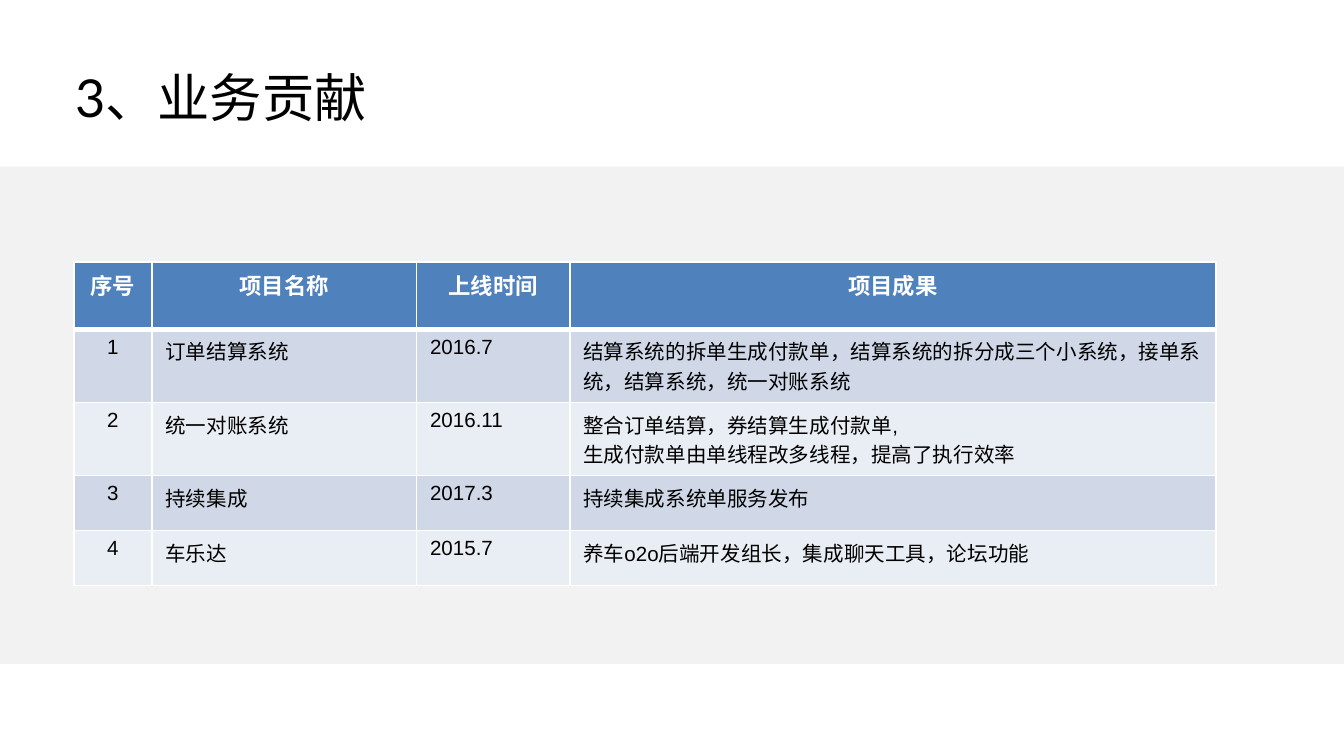
from lxml import etree
from pptx import Presentation
from pptx.dml.color import RGBColor
from pptx.enum.shapes import MSO_SHAPE
from pptx.enum.text import MSO_ANCHOR, PP_ALIGN
from pptx.oxml.ns import qn
from pptx.util import Inches, Pt

RECTANGLE = MSO_SHAPE.RECTANGLE
MIDDLE = MSO_ANCHOR.MIDDLE
LEFT, CENTER = PP_ALIGN.LEFT, PP_ALIGN.CENTER

BLACK = RGBColor(0x00, 0x00, 0x00)
WHITE = RGBColor(0xFF, 0xFF, 0xFF)
BAND_GREY = RGBColor(0xF2, 0xF2, 0xF2)
HEADER_BLUE = RGBColor(0x4F, 0x81, 0xBD)
ROW_FILLS = (RGBColor(0xD0, 0xD8, 0xE8), RGBColor(0xE9, 0xED, 0xF4))

TITLE = "3、业务贡献"
HEADINGS = ("序号", "项目名称", "上线时间", "项目成果")
# Each project: name, launch date, lines of results
PROJECTS = [
    ("订单结算系统", "2016.7",
     ["结算系统的拆单生成付款单，结算系统的拆分成三个小系统，接单系统，结算系统，统一对账系统"]),
    ("统一对账系统", "2016.11",
     ["整合订单结算，券结算生成付款单,", "生成付款单由单线程改多线程，提高了执行效率"]),
    ("持续集成", "2017.3", ["持续集成系统单服务发布"]),
    ("车乐达", "2015.7", ["养车o2o后端开发组长，集成聊天工具，论坛功能"]),
]

SLIDE_W = 10
SLIDE_H = SLIDE_W * 9 / 16
COLUMN_WIDTHS = (0.58, 1.97, 1.14, 4.81)
HEADER_H, ROW_H = 0.5, 0.41
TABLE_LEFT, TABLE_TOP = 0.55, 1.95
GRID_LINE, HEADER_LINE = 1, 3


def write(paragraph, text, font_name, size, color, align, bold=False):
    paragraph.alignment = align
    run = paragraph.add_run()
    run.text = text
    font = run.font
    font.name, font.size, font.bold = font_name, Pt(size), bold
    font.color.rgb = color


def set_borders(cell, top, bottom):
    """Draw white cell borders; top and bottom are widths in points."""
    properties = cell._tc.get_or_add_tcPr()
    widths = {"a:lnL": GRID_LINE, "a:lnR": GRID_LINE, "a:lnT": top, "a:lnB": bottom}
    for position, (tag, width) in enumerate(widths.items()):
        line = etree.Element(qn(tag), w=str(Pt(width)))
        solid = etree.SubElement(line, qn("a:solidFill"))
        etree.SubElement(solid, qn("a:srgbClr"), val=str(WHITE))
        properties.insert(position, line)


def fill_cell(cell, lines, fill, top, bottom, **style):
    cell.fill.solid()
    cell.fill.fore_color.rgb = fill
    set_borders(cell, top, bottom)
    frame = cell.text_frame
    for i, line in enumerate(lines):
        paragraph = frame.add_paragraph() if i else frame.paragraphs[0]
        write(paragraph, line, "Arial", **style)


def add_title(slide):
    title = slide.shapes.title
    title.left, title.top = Inches(0.46), Inches(0.25)
    title.width, title.height = Inches(9), Inches(0.94)
    title.text_frame.vertical_anchor = MIDDLE
    write(title.text_frame.paragraphs[0], TITLE, "Lato", 28, BLACK, LEFT)


def add_band(slide):
    band = slide.shapes.add_shape(
        RECTANGLE, 0, Inches(1.24), Inches(SLIDE_W), Inches(3.7))
    band.shadow.inherit = False
    band.fill.solid()
    band.fill.fore_color.rgb = BAND_GREY
    band.line.fill.background()


def add_project_table(slide):
    table = slide.shapes.add_table(
        len(PROJECTS) + 1, len(HEADINGS), Inches(TABLE_LEFT), Inches(TABLE_TOP),
        Inches(sum(COLUMN_WIDTHS)), Inches(HEADER_H + ROW_H * len(PROJECTS))).table
    for column, width in zip(table.columns, COLUMN_WIDTHS):
        column.width = Inches(width)
    for i, row in enumerate(table.rows):
        row.height = Inches(ROW_H if i else HEADER_H)

    for col, heading in enumerate(HEADINGS):
        fill_cell(table.cell(0, col), [heading], HEADER_BLUE, GRID_LINE, HEADER_LINE,
                  size=12, color=WHITE, align=CENTER, bold=True)
    for number, (name, launched, results) in enumerate(PROJECTS, start=1):
        fill = ROW_FILLS[(number - 1) % len(ROW_FILLS)]
        top = HEADER_LINE if number == 1 else GRID_LINE
        for col, lines in enumerate(([str(number)], [name], [launched], results)):
            fill_cell(table.cell(number, col), lines, fill, top, GRID_LINE,
                      size=11, color=BLACK, align=LEFT if col else CENTER)


def main():
    prs = Presentation()
    prs.slide_width, prs.slide_height = Inches(SLIDE_W), Inches(SLIDE_H)
    slide = prs.slides.add_slide(prs.slide_layouts[5])
    add_title(slide)
    add_band(slide)
    add_project_table(slide)
    prs.save("out.pptx")


if __name__ == "__main__":
    main()
